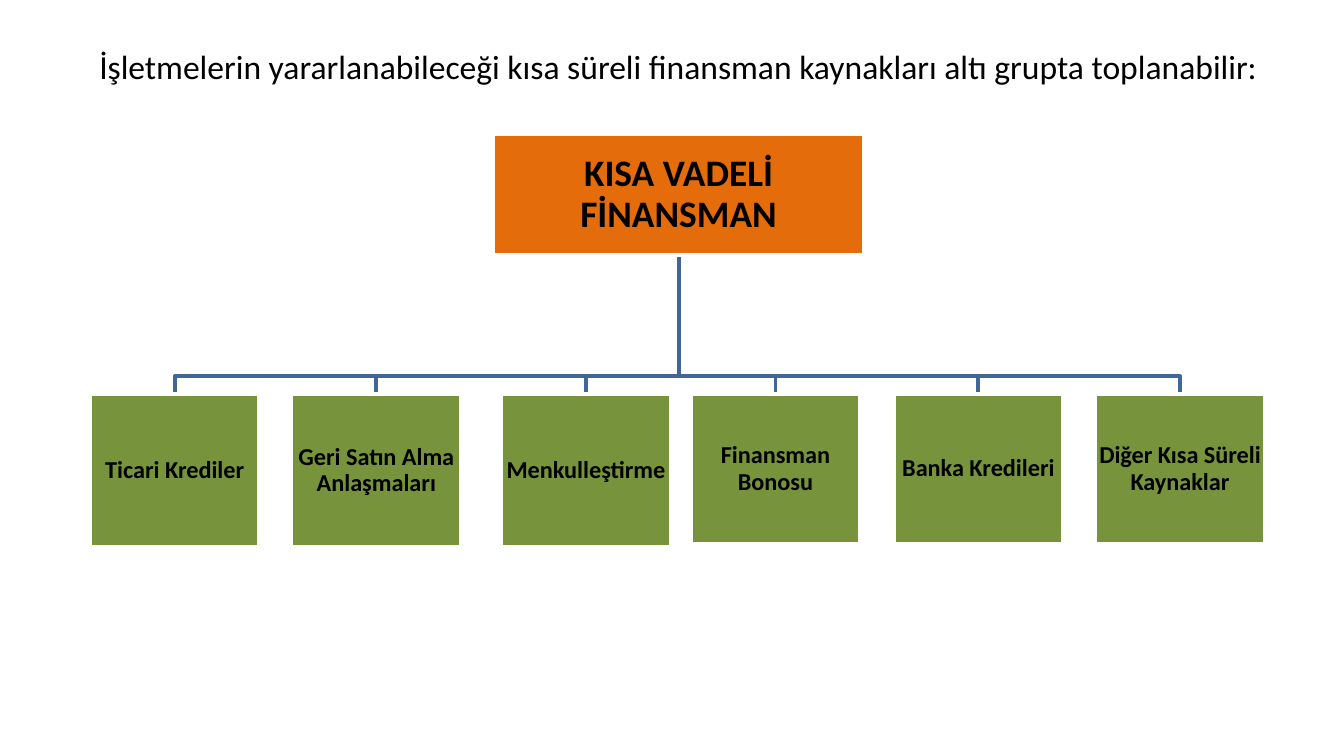
from dataclasses import dataclass

import pptx
import pptx.dml.color
import pptx.enum.shapes
import pptx.enum.text
import pptx.util

PX = 9144  # EMU per px, 100 px to the inch
SLIDE_WIDTH = 1000 * PX
SLIDE_HEIGHT = SLIDE_WIDTH * 9 // 16
FONT = "Calibri"
BLACK, WHITE = "000000", "FFFFFF"
ORANGE, GREEN, BLUE = "E46C0A", "77933C", "3F6797"
LINE_WIDTH = pptx.util.Pt(2)
BRANCH_Y = 280


@dataclass(frozen=True)
class Box:
    label: str
    left: int
    top: int
    width: int
    height: int
    fill: str
    size: int

    @property
    def center_x(self) -> int:
        return self.left + self.width // 2


def source_box(label: str, left: int, height: int) -> Box:
    return Box(label, left, 293, 126, height, GREEN, 13)


ROOT = Box("KISA VADELİ FİNANSMAN", 367, 100, 276, 90, ORANGE, 20)
SOURCES = [
    source_box("Ticari Krediler", 67, 114),
    source_box("Geri Satın Alma Anlaşmaları", 217, 114),
    source_box("Menkulleştirme", 373, 114),
    source_box("Finansman Bonosu", 514, 112),
    source_box("Banka Kredileri", 665, 112),
    source_box("Diğer Kısa Süreli Kaynaklar", 815, 112),
]


def color(value: str) -> pptx.dml.color.RGBColor:
    return pptx.dml.color.RGBColor.from_string(value)


def add_run(paragraph, text: str, size: int, bold: bool = False) -> None:
    run = paragraph.add_run()
    run.text = text
    run.font.name = FONT
    run.font.size = pptx.util.Pt(size)
    run.font.bold = bold
    run.font.color.rgb = color(BLACK)


def outline(shape, line_color: str) -> None:
    shape.shadow.inherit = False
    shape.line.color.rgb = color(line_color)
    shape.line.width = LINE_WIDTH


def draw_branch(shapes, parent: Box, child: Box) -> None:
    """Draw the bent line from the parent's bottom to the child's top."""
    builder = shapes.build_freeform(parent.center_x, parent.top + parent.height, scale=PX)
    builder.add_line_segments(
        [(parent.center_x, BRANCH_Y), (child.center_x, BRANCH_Y), (child.center_x, child.top)],
        close=False,
    )
    branch = builder.convert_to_shape()
    branch.fill.background()
    outline(branch, BLUE)


def draw_box(shapes, box: Box) -> None:
    shape = shapes.add_shape(
        pptx.enum.shapes.MSO_SHAPE.RECTANGLE,
        box.left * PX, box.top * PX, box.width * PX, box.height * PX,
    )
    shape.fill.solid()
    shape.fill.fore_color.rgb = color(box.fill)
    outline(shape, WHITE)
    frame = shape.text_frame
    frame.word_wrap = True
    frame.vertical_anchor = pptx.enum.text.MSO_ANCHOR.MIDDLE
    frame.margin_left = frame.margin_right = frame.margin_top = frame.margin_bottom = PX
    paragraph = frame.paragraphs[0]
    paragraph.alignment = pptx.enum.text.PP_ALIGN.CENTER
    paragraph.line_spacing = 0.9
    add_run(paragraph, box.label, box.size, bold=True)


def draw_intro(shapes) -> None:
    frame = shapes.add_textbox(64 * PX, 29 * PX, 892 * PX, 40 * PX).text_frame
    frame.word_wrap = True
    frame.auto_size = pptx.enum.text.MSO_AUTO_SIZE.SHAPE_TO_FIT_TEXT
    add_run(
        frame.paragraphs[0],
        "İşletmelerin yararlanabileceği kısa süreli finansman kaynakları altı grupta toplanabilir:",
        18,
    )


def main() -> None:
    deck = pptx.Presentation()
    deck.slide_width, deck.slide_height = SLIDE_WIDTH, SLIDE_HEIGHT
    shapes = deck.slides.add_slide(deck.slide_layouts[6]).shapes
    for source in reversed(SOURCES):
        draw_branch(shapes, ROOT, source)
    for box in [ROOT, *SOURCES]:
        draw_box(shapes, box)
    draw_intro(shapes)
    deck.save("out.pptx")


if __name__ == "__main__":
    main()
